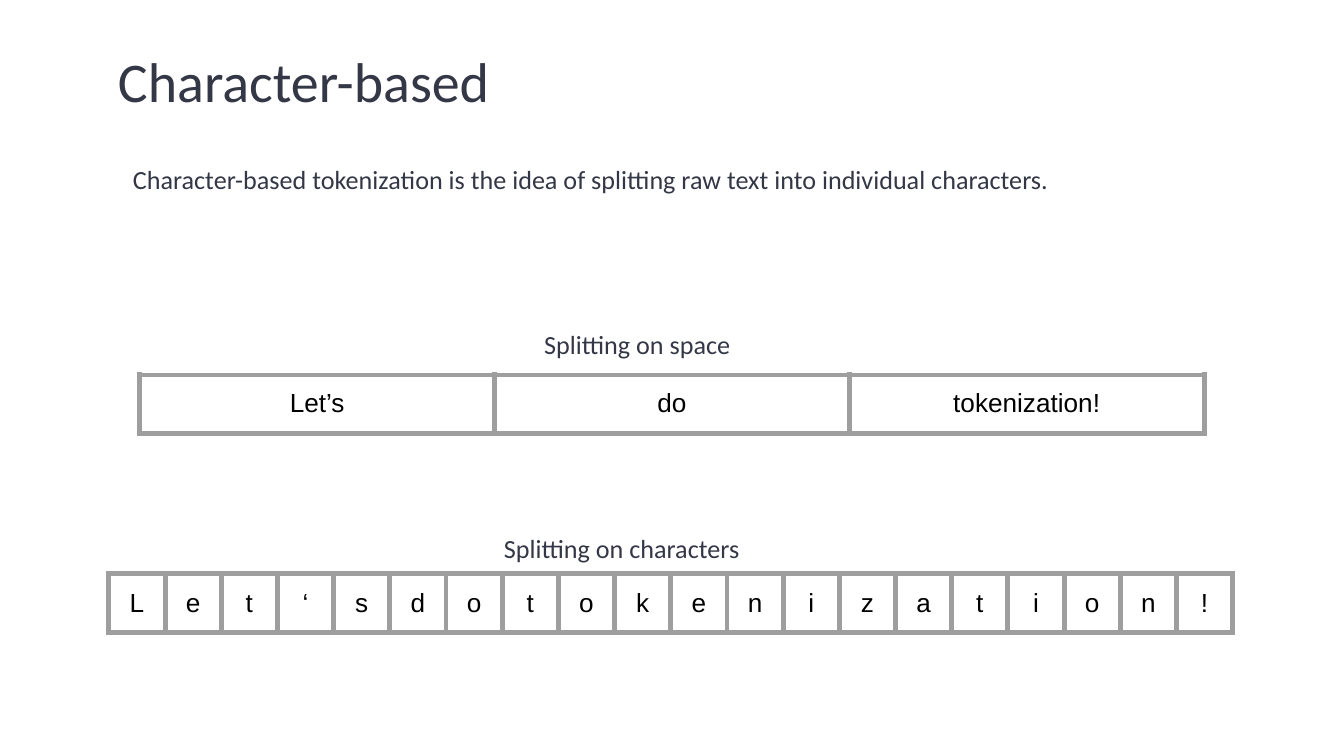
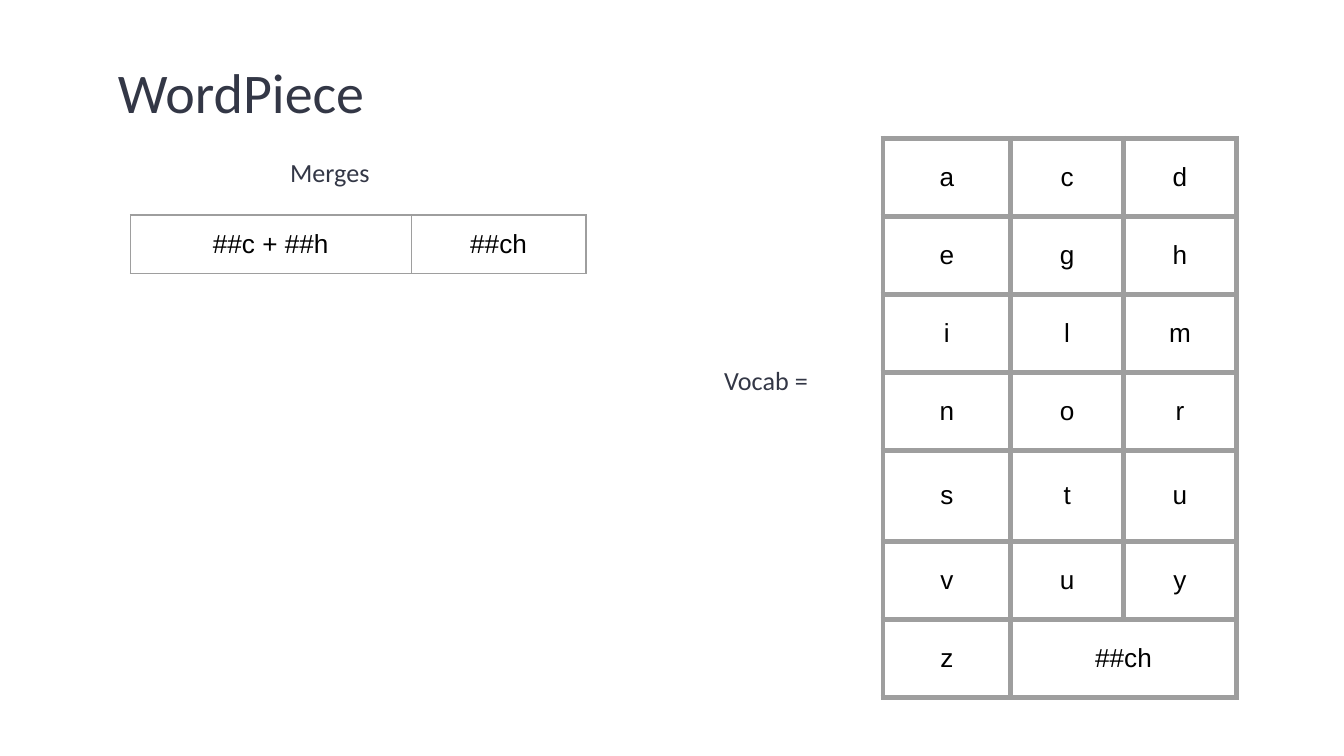
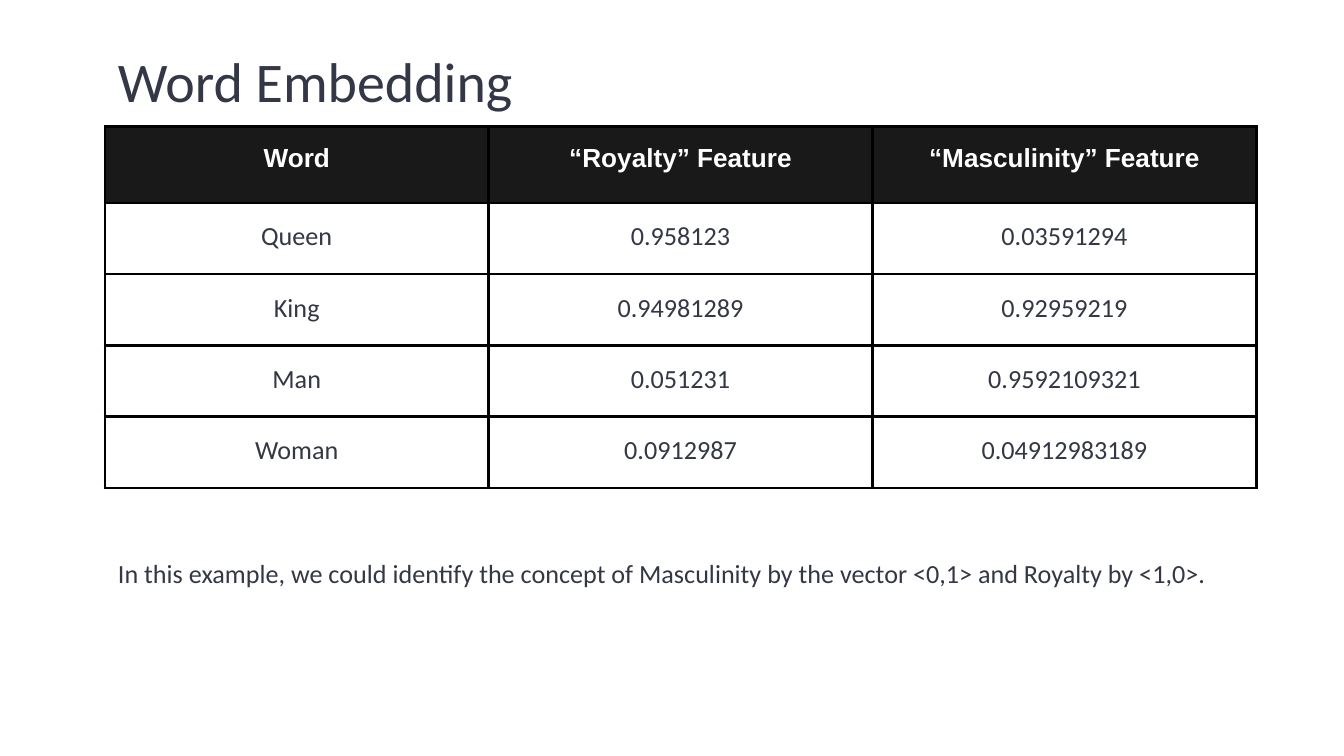
from lxml.etree import SubElement
from pptx import Presentation
from pptx.dml.color import RGBColor
from pptx.enum.text import MSO_ANCHOR as Anchor, PP_ALIGN as Align
from pptx.oxml import parse_xml
from pptx.oxml.ns import nsdecls, qn
from pptx.util import Inches, Pt

rgb = RGBColor.from_string
SLATE, GRAY, BLACK, WHITE, CHARCOAL = "333746", "9E9E9E", "000000", "FFFFFF", "191919"
INSET = Inches(0.1)
STRIP = 0.42


def add_text(slide, text, left, top, width, height, size=14, align=Align.LEFT, anchor=Anchor.TOP):
    frame = slide.shapes.add_textbox(Inches(left), Inches(top), Inches(width), Inches(height)).text_frame
    frame.word_wrap = True
    frame.vertical_anchor = anchor
    frame.margin_left = frame.margin_right = frame.margin_top = frame.margin_bottom = INSET
    paragraph = frame.paragraphs[0]
    paragraph.text = text
    paragraph.alignment = align
    paragraph.line_spacing = 1.15
    paragraph.font.name = "Calibri"
    paragraph.font.size = Pt(size)
    paragraph.font.color.rgb = rgb(SLATE)


def add_grid(slide, rows, left, top, widths, heights, border=GRAY, weight=3.0,
             font="Arial", color=BLACK, anchor=Anchor.MIDDLE, spacing=None):
    grid = slide.shapes.add_table(len(rows), len(widths), Inches(left), Inches(top),
                                  Inches(sum(widths)), Inches(sum(heights))).table
    grid.first_row = grid.horz_banding = False
    for column, width in zip(grid.columns, widths):
        column.width = Inches(width)
    for row, height, words in zip(grid.rows, heights, rows):
        row.height = Inches(height)
        for cell, word in zip(row.cells, words):
            cell.fill.background()
            cell.vertical_anchor = anchor
            cell.margin_left = cell.margin_right = cell.margin_top = cell.margin_bottom = INSET
            paragraph = cell.text_frame.paragraphs[0]
            paragraph.text = word
            paragraph.alignment = Align.CENTER
            paragraph.line_spacing = spacing
            paragraph.font.name = font
            paragraph.font.size = Pt(14)
            paragraph.font.color.rgb = rgb(color)
            properties = cell._tc.get_or_add_tcPr()
            for position, side in enumerate(("lnL", "lnR", "lnT", "lnB")):
                edge = parse_xml(f'<a:{side} {nsdecls("a")} w="{Pt(weight)}"/>')
                fill = SubElement(edge, qn("a:solidFill"))
                SubElement(fill, qn("a:srgbClr"), val=border)
                properties.insert(position, edge)
    return grid


deck = Presentation()
deck.slide_width = Inches(10)
deck.slide_height = deck.slide_width * 9 // 16
slides = []
for title, top in (("Character-based", 0.17), ("WordPiece", 0.25), ("Word Embedding", 0.17)):
    slide = deck.slides.add_slide(deck.slide_layouts[6])
    add_text(slide, title, 0.78, top, 8.3, 0.77, size=30)
    slides.append(slide)
characters, wordpiece, embedding = slides

add_text(characters, "Character-based tokenization is the idea of splitting raw text into individual characters.",
         0.89, 1.08, 8.69, 0.43)
add_text(characters, "Splitting on space", 3.95, 2.31, 1.96, 0.43)
words = ["Let’s", "do", "tokenization!"]
add_grid(characters, [words], 1.04, 2.79, [7.92 / len(words)] * len(words), [STRIP], anchor=Anchor.TOP)
add_text(characters, "Splitting on characters", 3.65, 3.83, 2.55, 0.43)
letters = list("Let‘sdotokenization!")
add_grid(characters, [letters], 0.81, 4.27, [8.37 / len(letters)] * len(letters), [STRIP])

add_text(wordpiece, "Merges", 1.95, 1.03, 1.01, 0.46, align=Align.CENTER, anchor=Anchor.MIDDLE)
add_grid(wordpiece, [["##c + ##h", "##ch"]], 0.97, 1.6, [2.09, 1.3], [STRIP], weight=0.75)
add_text(wordpiece, "Vocab =", 5.29, 2.58, 1.01, 0.46)
vocabulary = ["acd", "egh", "ilm", "nor", "stu", "vuy", ["z", "##ch"]]
heights = [0.58] * 4 + [0.68] + [0.58] * 2
vocab = add_grid(wordpiece, vocabulary, 6.57, 1.03, [0.95, 0.84, 0.84], heights)
vocab.cell(6, 1).merge(vocab.cell(6, 2))

features = [
    ["Word", "“Royalty” Feature", "“Masculinity” Feature"],
    ["Queen", "0.958123", "0.03591294"],
    ["King", "0.94981289", "0.92959219"],
    ["Man", "0.051231", "0.9592109321"],
    ["Woman", "0.0912987", "0.04912983189"],
]
scores = add_grid(embedding, features, 0.78, 0.94, [8.57 / 3] * 3, [0.57] + [0.53] * 4, border=BLACK,
                  weight=1.5, font="Calibri", color=SLATE, anchor=Anchor.TOP, spacing=1.15)
for heading in scores.rows[0].cells:
    heading.fill.solid()
    heading.fill.fore_color.rgb = rgb(CHARCOAL)
    font = heading.text_frame.paragraphs[0].font
    font.name = "Arial"
    font.bold = True
    font.color.rgb = rgb(WHITE)
add_text(embedding, "In this example, we could identify the concept of Masculinity by the vector <0,1> and Royalty by <1,0>.",
         0.78, 4.01, 8.57, 0.77)

deck.save("out.pptx")
